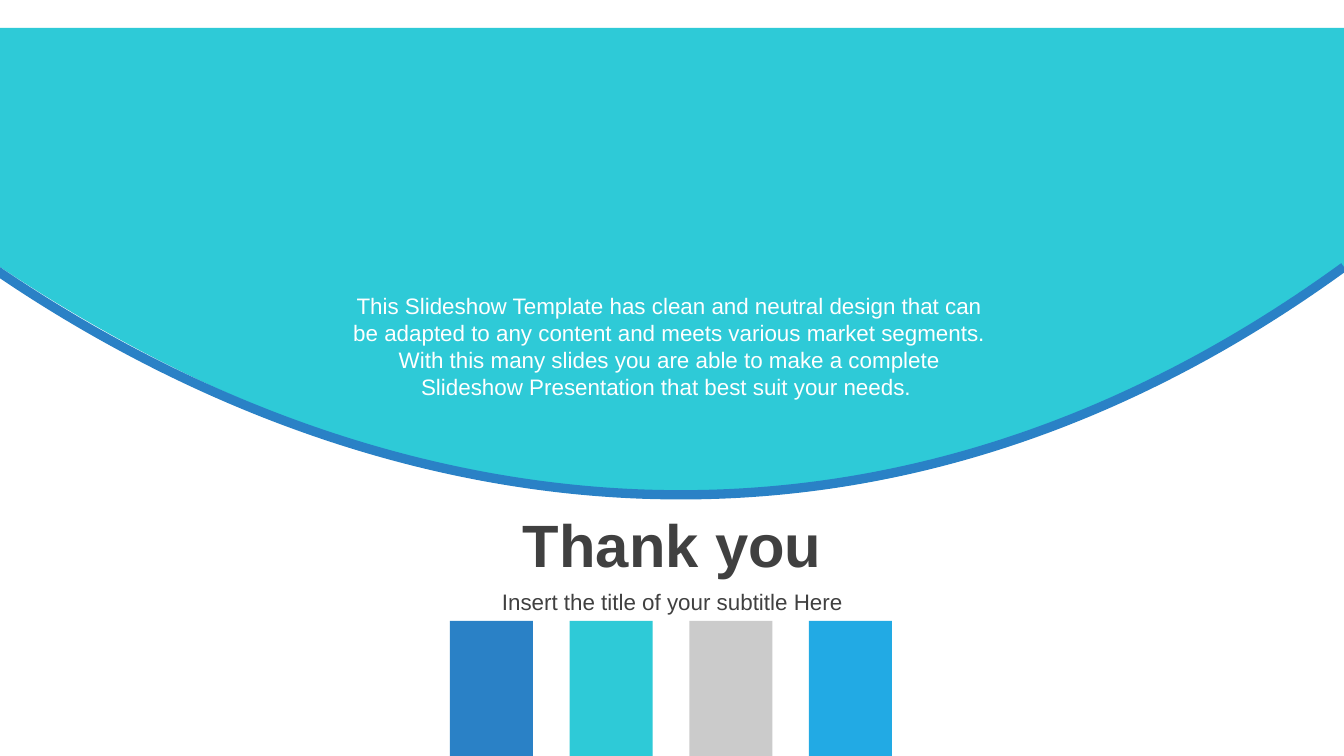
from lxml import etree
from pptx import Presentation
from pptx.dml.color import RGBColor
from pptx.enum.shapes import MSO_SHAPE
from pptx.enum.text import MSO_ANCHOR, PP_ALIGN
from pptx.oxml.ns import qn
from pptx.util import Emu, Pt

RECTANGLE = MSO_SHAPE.RECTANGLE
TOP, MIDDLE = MSO_ANCHOR.TOP, MSO_ANCHOR.MIDDLE
CENTER = PP_ALIGN.CENTER

# Content
CLOSING = "Thank you"
SUBTITLE = "Insert the title of your subtitle Here"
MESSAGE = (
    "This Slideshow Template has clean and neutral design that can be adapted "
    "to any content and meets various market segments. With this many slides "
    "you are able to make a complete Slideshow Presentation that best suit "
    "your needs. "
)
BAR_COLORS = ["blue", "teal", "gray", "sky"]

THEME = {
    "font": "Arial",
    "title_size": 32,
    "text_size": 12,
    "rim_width": 5,
    "blue": "2A81C6",
    "teal": "2ECAD7",
    "gray": "CBCBCB",
    "sky": "22AAE4",
    "dark": "404040",
    "white": "FFFFFF",
}

# Geometry in px; each curve is start, two control points, end
SLIDE_W, SLIDE_H = 1344, 756
EMU_PER_PX = 914400 / 134.4
DOME_TOP, DOME_H = 28, 469
DOME_CURVE = [(1344, 267), (874, 616), (398, 531), (0, 267)]
DOME_CORNERS = [(0, DOME_TOP), (SLIDE_W, DOME_TOP)]
RIM_H = 229
RIM_CURVE = [(1344, 267), (847, 628), (343, 507), (-4, 270)]
TITLE_BOX = (294, 501, 757, 85)
SUBTITLE_BOX = (294, 586, 757, 32)
MESSAGE_BOX = (337, 286, 665, 122)
BARS_LEFT, BARS_RIGHT, BARS_TOP, BAR_W = 450, 892, 621, 83


def px(length):
    return Emu(round(length * EMU_PER_PX))


def color(name):
    return RGBColor.from_string(THEME[name])


def add_curved(slide, curve, corners, height, close):
    """Freeform that starts with one cubic curve and goes on through corners."""
    vertices = [(px(x), px(y)) for x, y in curve + corners]
    builder = slide.shapes.build_freeform(*vertices[0], scale=1.0)
    builder.add_line_segments(vertices[1:], close=close)
    outline = builder.convert_to_shape()
    outline.shadow.inherit = False

    # Join the first three segments into one cubic curve
    contour = next(outline.element.iter(qn("a:path")))
    segments = contour.findall(qn("a:lnTo"))[:3]
    cubic = etree.Element(qn("a:cubicBezTo"))
    segments[0].addprevious(cubic)
    for segment in segments:
        cubic.append(segment[0])
        contour.remove(segment)

    # The frame ends at the curve, not at its control points
    outline.height = px(height)
    contour.set("h", str(px(height)))
    return outline


def fill_plain(shape, color_name):
    shape.shadow.inherit = False
    shape.fill.solid()
    shape.fill.fore_color.rgb = color(color_name)
    shape.line.fill.background()


def write(shape, box, text, size, color_name, anchor, bold=False):
    shape.left, shape.top, shape.width, shape.height = map(px, box)
    frame = shape.text_frame
    frame.word_wrap = True
    frame.vertical_anchor = anchor
    paragraph = frame.paragraphs[0]
    paragraph.alignment = CENTER
    run = paragraph.add_run()
    run.text = text
    run.font.name = THEME["font"]
    run.font.size = Pt(THEME[size])
    run.font.bold = bold
    run.font.color.rgb = color(color_name)


def main():
    prs = Presentation()
    prs.slide_width, prs.slide_height = px(SLIDE_W), px(SLIDE_H)
    slide = prs.slides.add_slide(prs.slide_layouts[5])

    # Dome and its rim
    dome = add_curved(slide, DOME_CURVE, DOME_CORNERS, DOME_H, close=True)
    fill_plain(dome, "teal")
    rim = add_curved(slide, RIM_CURVE, [], RIM_H, close=False)
    rim.fill.background()
    rim.line.color.rgb = color("blue")
    rim.line.width = Pt(THEME["rim_width"])

    # Title and subtitle
    write(slide.shapes.title, TITLE_BOX, CLOSING, "title_size", "dark", MIDDLE, bold=True)
    subtitle = slide.shapes.add_textbox(0, 0, 0, 0)
    write(subtitle, SUBTITLE_BOX, SUBTITLE, "text_size", "dark", MIDDLE)

    # Evenly spaced bars down to the slide's bottom edge
    bars = slide.shapes.add_group_shape()
    pitch = (BARS_RIGHT - BARS_LEFT - BAR_W) / (len(BAR_COLORS) - 1)
    for index, color_name in enumerate(BAR_COLORS):
        bar = bars.shapes.add_shape(
            RECTANGLE, px(BARS_LEFT + index * pitch), px(BARS_TOP),
            px(BAR_W), px(SLIDE_H - BARS_TOP))
        fill_plain(bar, color_name)

    # Message on the dome
    message = slide.shapes.add_textbox(0, 0, 0, 0)
    write(message, MESSAGE_BOX, MESSAGE, "text_size", "white", TOP)

    prs.save("out.pptx")


if __name__ == "__main__":
    main()
